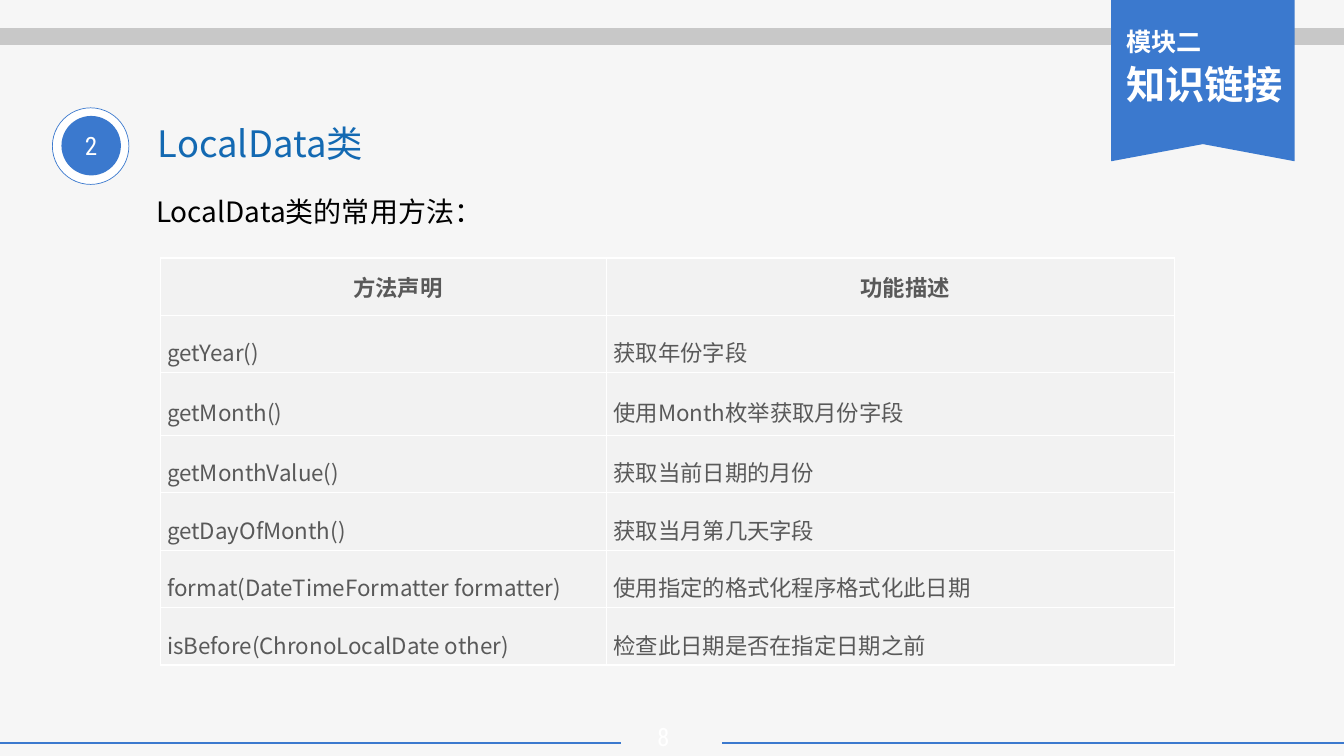
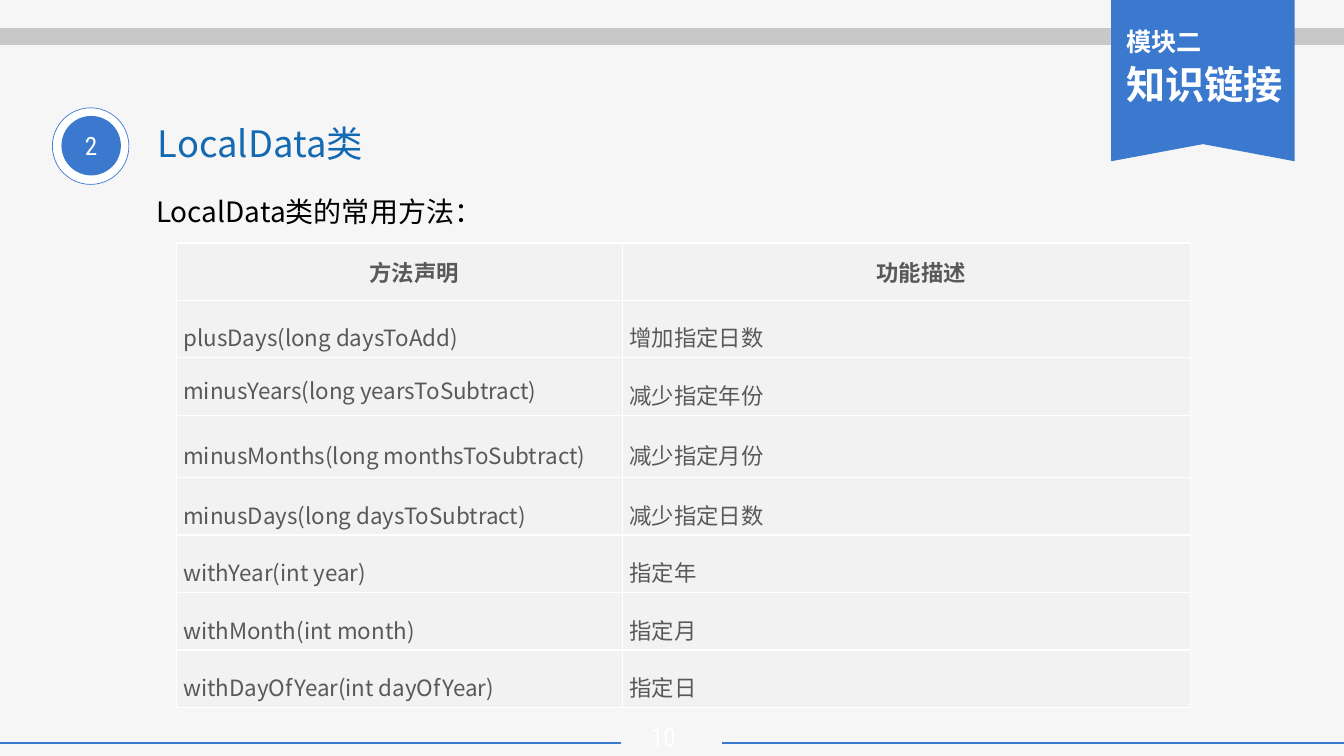
from dataclasses import dataclass

from lxml.etree import SubElement
from pptx import Presentation
from pptx.dml.color import RGBColor
from pptx.enum.shapes import MSO_CONNECTOR, MSO_SHAPE
from pptx.enum.text import MSO_ANCHOR, PP_ALIGN
from pptx.oxml import parse_xml
from pptx.oxml.ns import nsdecls, qn
from pptx.util import Inches, Pt

HUES = {
    "page": "F6F6F6", "blue": "3B79CE", "title": "1369B2", "band": "C8C8C8",
    "cell": "F2F2F2", "text": "595959", "white": "FFFFFF", "black": "000000",
}
SANS = "Noto Sans CJK SC"
SLIM = "Roboto Condensed"
WIDE = 13.34
COLS = (4.43, 5.64)
ROW, TALL = 0.57, 0.62
HEAD = ("方法声明", "功能描述")


@dataclass
class Rule:
    start: float
    end: float
    y: float
    hue: str
    width: float


@dataclass
class Page:
    number: str
    left: float
    top: float
    tall: int  # index of the taller row
    rows: list[tuple[str, str]]
    raised: tuple[int, int] | None = None  # cell whose text sits at the top


RULES = (
    Rule(7.17, WIDE, 7.37, "blue", 1.77),
    Rule(0, 6.16, 7.37, "blue", 1.77),
    Rule(0, WIDE, 0.36, "band", 12),
)

PAGES = (
    Page("8", 1.59, 2.56, 2, [
        ("getYear()", "获取年份字段"),
        ("getMonth()", "使用Month枚举获取月份字段"),
        ("getMonthValue()", "获取当前日期的月份"),
        ("getDayOfMonth()", "获取当月第几天字段"),
        ("format(DateTimeFormatter formatter)", "使用指定的格式化程序格式化此日期"),
        ("isBefore(ChronoLocalDate other)", "检查此日期是否在指定日期之前"),
    ]),
    Page("10", 1.75, 2.41, 3, [
        ("plusDays(long daysToAdd)", "增加指定日数"),
        ("minusYears(long yearsToSubtract)", "减少指定年份"),
        ("minusMonths(long monthsToSubtract)", "减少指定月份"),
        ("minusDays(long daysToSubtract)", "减少指定日数"),
        ("withYear(int year)", "指定年"),
        ("withMonth(int month)", "指定月"),
        ("withDayOfYear(int dayOfYear)", "指定日"),
    ], raised=(2, 0)),
)


def color(name: str) -> RGBColor:
    return RGBColor.from_string(HUES[name])


def write(para, text: str, *, size: float, hue: str, face: str = SANS,
          bold: bool = False, align=PP_ALIGN.LEFT, indent: float = 0,
          spacing: float = 1, after: float = 0) -> None:
    """Put one formatted run into a paragraph."""
    para.alignment = align
    para.line_spacing = spacing
    para.space_after = Pt(after)
    if indent:
        props = para._p.get_or_add_pPr()
        props.set("marL", "0")
        props.set("indent", str(Inches(indent)))
    run = para.add_run()
    run.text = text
    font = run.font
    font.size, font.bold = Pt(size), bold
    font.color.rgb = color(hue)
    font.name = face
    SubElement(font._element, qn("a:ea")).set("typeface", face)


def add_box(slide, left: float, top: float, width: float, height: float):
    shape = slide.shapes.add_textbox(
        Inches(left), Inches(top), Inches(width), Inches(height))
    shape.text_frame.word_wrap = True
    return shape.text_frame


def paint(shape, fill: str, line: str | None = None) -> None:
    shape.shadow.inherit = False
    shape.fill.solid()
    shape.fill.fore_color.rgb = color(fill)
    if line:
        shape.line.color.rgb = color(line)
        shape.line.width = Pt(0.5)
    else:
        shape.line.fill.background()


def add_disc(slide, left: float, top: float, size: float, fill: str,
             line: str | None = None):
    disc = slide.shapes.add_shape(
        MSO_SHAPE.OVAL, Inches(left), Inches(top), Inches(size), Inches(size))
    paint(disc, fill, line)
    return disc.text_frame


def add_rule(slide, rule: Rule) -> None:
    line = slide.shapes.add_connector(
        MSO_CONNECTOR.STRAIGHT, Inches(rule.start), Inches(rule.y),
        Inches(rule.end), Inches(rule.y))
    line.line.color.rgb = color(rule.hue)
    line.line.width = Pt(rule.width)
    SubElement(line._element.spPr, qn("a:effectLst"))


def add_ribbon(slide) -> None:
    left, right, foot, notch = 11.03, 12.85, 1.6, 1.43
    path = slide.shapes.build_freeform(Inches(left), 0)
    points = ((right, 0), (right, foot), ((left + right) / 2, notch), (left, foot))
    path.add_line_segments([(Inches(x), Inches(y)) for x, y in points])
    paint(path.convert_to_shape(), "blue")
    frame = add_box(slide, 11.08, 0.21, 1.78, 0.92)
    style = dict(hue="white", bold=True, after=3)
    write(frame.paragraphs[0], "模块二", size=18, **style)
    write(frame.add_paragraph(), "知识链接", size=28, **style)


def add_frame(slide, number: str) -> None:
    """Draw the parts that every slide shares."""
    for rule in RULES:
        add_rule(slide, rule)
    add_ribbon(slide)
    title = add_box(slide, 1.47, 1.15, 3.53, 0.47)
    write(title.paragraphs[0], "LocalData类", size=26, hue="title")
    add_disc(slide, 0.52, 1.07, 0.76, "white", "blue")
    label = dict(size=18, hue="white", face=SLIM, align=PP_ALIGN.CENTER)
    disc = add_disc(slide, 0.61, 1.15, 0.59, "blue")
    disc.vertical_anchor = MSO_ANCHOR.MIDDLE
    write(disc.paragraphs[0], "2", **label)
    foot = add_box(slide, 6.16, 7.12, 0.85, 0.38)
    foot.vertical_anchor = MSO_ANCHOR.MIDDLE
    write(foot.paragraphs[0], number, **label)
    lead = add_box(slide, 1.16, 1.71, 11.25, 0.74)
    write(lead.paragraphs[0], "LocalData类的常用方法：", size=20, hue="black",
          align=PP_ALIGN.JUSTIFY, indent=0.29, spacing=1.5)


def edge(cell) -> None:
    """Give a cell thin white borders on all sides."""
    props = cell._tc.get_or_add_tcPr()
    for spot, side in enumerate("LRTB"):
        props.insert(spot, parse_xml(
            f'<a:ln{side} {nsdecls("a")} w="{Pt(1)}"><a:solidFill>'
            f'<a:srgbClr val="{HUES["white"]}"/></a:solidFill></a:ln{side}>'))


def add_grid(slide, page: Page) -> None:
    rows = [HEAD, *page.rows]
    highs = [TALL if i == page.tall else ROW for i in range(len(rows))]
    table = slide.shapes.add_table(
        len(rows), len(COLS), Inches(page.left), Inches(page.top),
        Inches(sum(COLS)), Inches(sum(highs))).table
    table.first_row = table.horz_banding = False
    for col, width in zip(table.columns, COLS):
        col.width = Inches(width)
    for i, (row, high) in enumerate(zip(rows, highs)):
        table.rows[i].height = Inches(high)
        style = (dict(bold=True, align=PP_ALIGN.CENTER, indent=0.29) if i == 0
                 else dict(spacing=1.5))
        for j, text in enumerate(row):
            cell = table.cell(i, j)
            cell.fill.solid()
            cell.fill.fore_color.rgb = color("cell")
            edge(cell)
            cell.margin_left = cell.margin_right = Inches(0.07)
            cell.margin_top = cell.margin_bottom = 0
            cell.vertical_anchor = (MSO_ANCHOR.TOP if (i, j) == page.raised
                                    else MSO_ANCHOR.MIDDLE)
            write(cell.text_frame.paragraphs[0], text, size=16, hue="text", **style)


def main() -> None:
    deck = Presentation()
    deck.slide_width, deck.slide_height = Inches(WIDE), Inches(7.5)
    back = deck.slide_master.background.fill
    back.solid()
    back.fore_color.rgb = color("page")
    for page in PAGES:
        slide = deck.slides.add_slide(deck.slide_layouts[6])
        add_frame(slide, page.number)
        add_grid(slide, page)
    deck.save("out.pptx")


if __name__ == "__main__":
    main()
